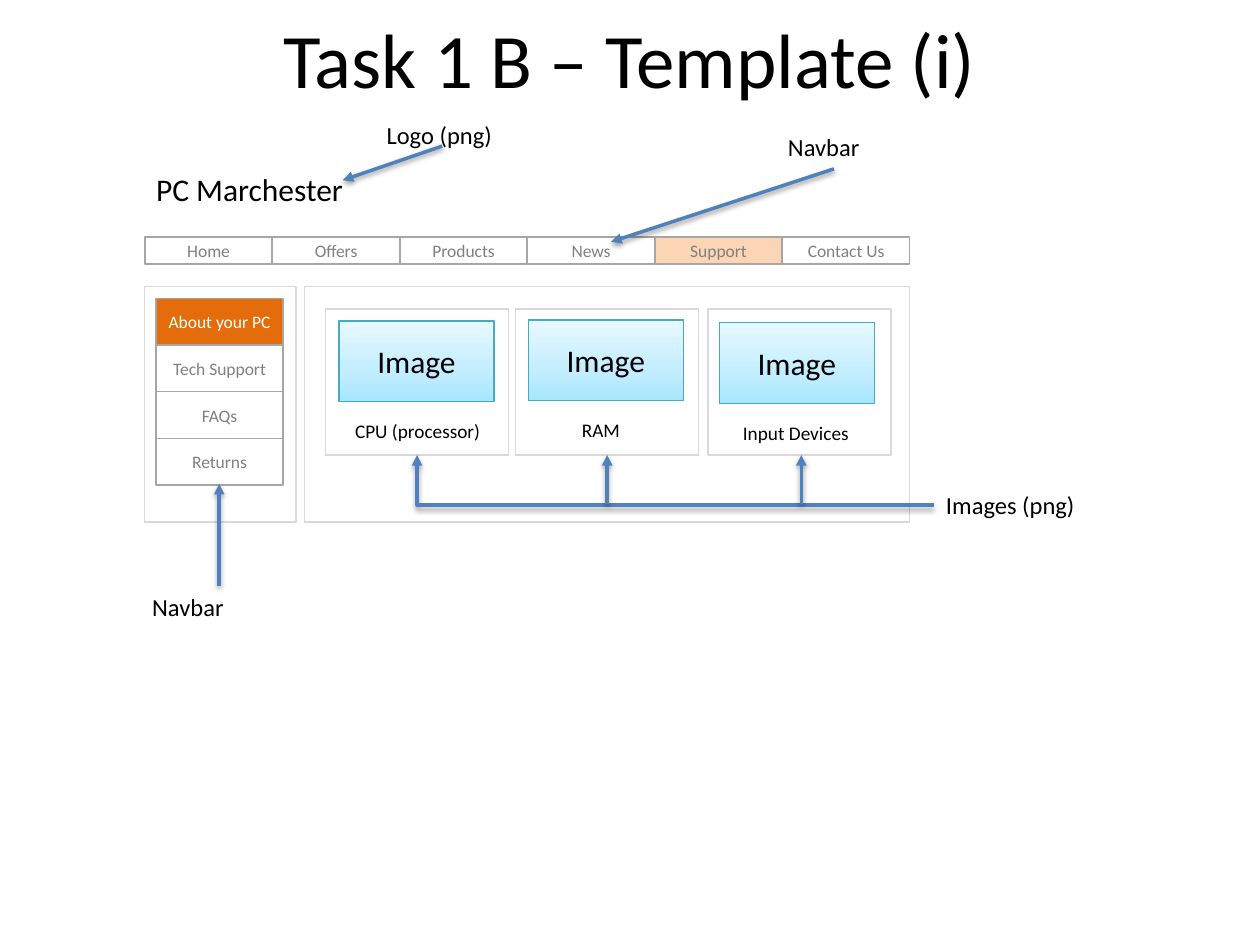
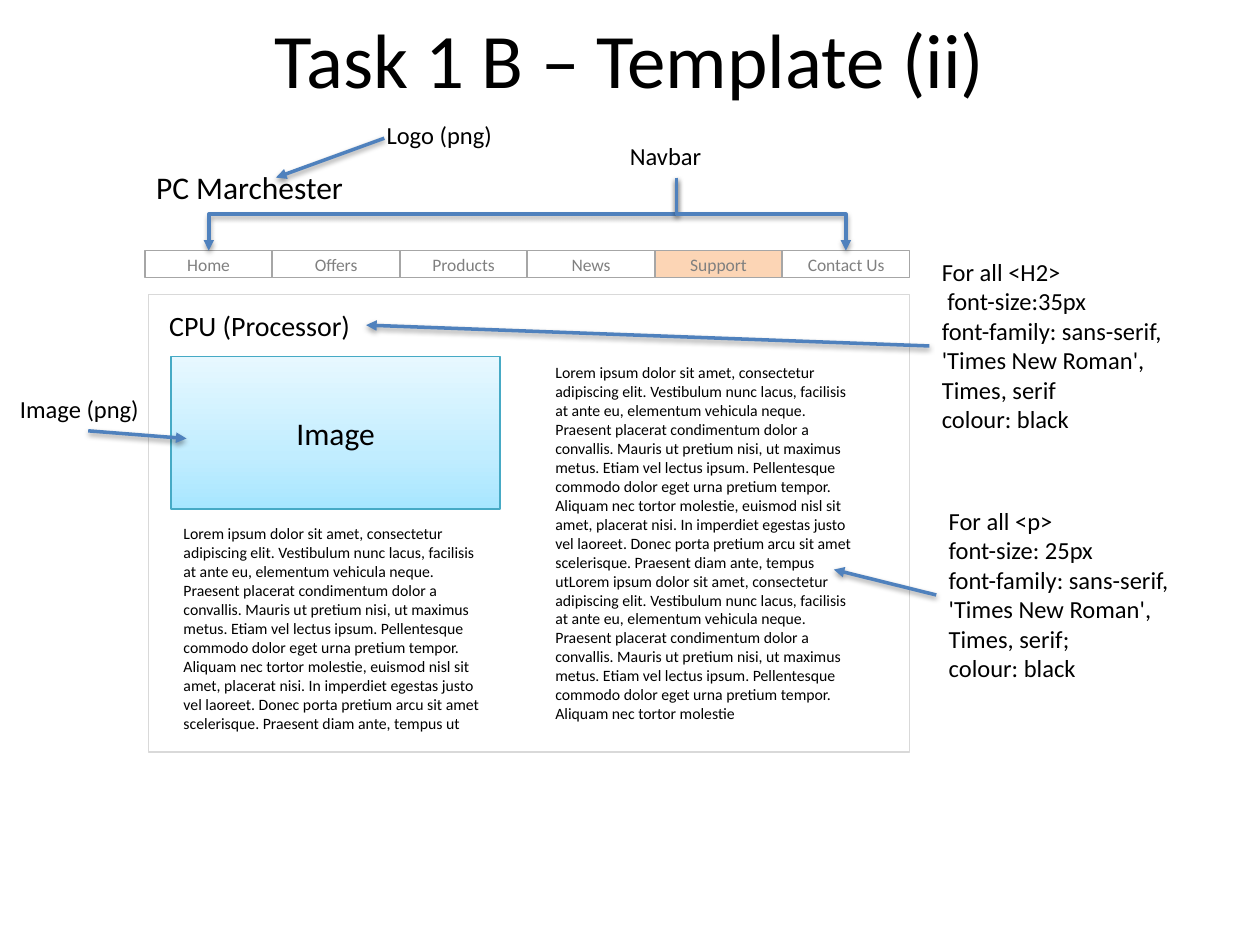
import copy

import pptx
import pptx.dml.color
import pptx.enum.shapes
import pptx.enum.text
import pptx.oxml
import pptx.oxml.ns
import pptx.util

Pt = pptx.util.Pt
RGBColor = pptx.dml.color.RGBColor
qn = pptx.oxml.ns.qn
Align = pptx.enum.text.PP_ALIGN
Anchor = pptx.enum.text.MSO_ANCHOR
ConnectorType = pptx.enum.shapes.MSO_CONNECTOR

# Shared style
FONT = "Calibri"
BLACK = RGBColor(0, 0, 0)
WHITE = RGBColor(255, 255, 255)
LABEL_GREY = RGBColor(0x80, 0x80, 0x80)
BUTTON_LINE = RGBColor(0xA6, 0xA6, 0xA6)
PANEL_LINE = RGBColor(0xD9, 0xD9, 0xD9)
PEACH = RGBColor(0xFC, 0xD5, 0xB5)
ORANGE = RGBColor(0xE4, 0x6C, 0x0A)
ARROW_BLUE = RGBColor(0x4F, 0x81, 0xBD)
IMAGE_LINE = RGBColor(0x46, 0xAA, 0xC5)
IMAGE_STOPS = [(0, RGBColor(0xA7, 0xE6, 0xFF)),
               (0.35, RGBColor(0xC1, 0xED, 0xFF)),
               (1, RGBColor(0xE7, 0xF8, 0xFF))]

# Shared content
SITE_NAME = "PC Marchester"
NAV_LABELS = ["Home", "Offers", "Products", "News", "Support", "Contact Us"]
MENU_LABELS = ["About your PC", "Tech Support", "FAQs", "Returns"]
BUTTON_WIDTH = 72.72

LOREM_START = (
    "Lorem ipsum dolor sit amet, consectetur adipiscing elit. Vestibulum nunc "
    "lacus, facilisis at ante eu, elementum vehicula neque. Praesent placerat "
    "condimentum dolor a convallis. Mauris ut pretium nisi, ut maximus metus. "
    "Etiam vel lectus ipsum. Pellentesque commodo dolor eget urna pretium "
    "tempor. Aliquam nec tortor molestie")
LOREM = LOREM_START + (
    ", euismod nisl sit amet, placerat nisi. In imperdiet egestas justo vel "
    "laoreet. Donec porta pretium arcu sit amet scelerisque. Praesent diam "
    "ante, tempus ut")


def add_run(paragraph, text, size, color):
    run = paragraph.add_run()
    run.text = text
    run.font.name = FONT
    run.font.size = Pt(size)
    run.font.color.rgb = color


def add_text(slide, box, lines, size, wrap=True, align=Align.LEFT, grow=True):
    shape = slide.shapes.add_textbox(*map(Pt, box))
    frame = shape.text_frame
    frame.word_wrap = wrap
    if grow:
        frame.auto_size = pptx.enum.text.MSO_AUTO_SIZE.SHAPE_TO_FIT_TEXT
    for index, line in enumerate(lines):
        paragraph = frame.add_paragraph() if index else frame.paragraphs[0]
        paragraph.alignment = align
        add_run(paragraph, line, size, BLACK)


def add_box(slide, box, line_color, fill=None, text="", size=10, color=LABEL_GREY):
    shape = slide.shapes.add_shape(
        pptx.enum.shapes.MSO_SHAPE.RECTANGLE, *map(Pt, box))
    shape.shadow.inherit = False
    shape.line.color.rgb = line_color
    shape.line.width = Pt(0.75)
    if fill is None:
        shape.fill.background()
    else:
        shape.fill.solid()
        shape.fill.fore_color.rgb = fill
    if text:
        frame = shape.text_frame
        frame.word_wrap = True
        frame.margin_left = frame.margin_right = 0
        frame.vertical_anchor = Anchor.MIDDLE
        frame.paragraphs[0].alignment = Align.CENTER
        add_run(frame.paragraphs[0], text, size, color)
    return shape


def add_image_box(slide, box):
    shape = add_box(slide, box, IMAGE_LINE, text="Image", size=18, color=BLACK)
    shape.fill.gradient()
    shape.fill.gradient_angle = 90
    stop_list = next(shape._element.spPr.iter(qn("a:gsLst")))
    stop_list.insert(1, copy.deepcopy(stop_list[0]))
    for stop, (position, color) in zip(shape.fill.gradient_stops, IMAGE_STOPS):
        stop.position = position
        stop.color.rgb = color


def add_arrow(slide, start, end, kind=ConnectorType.STRAIGHT):
    connector = slide.shapes.add_connector(kind, *map(Pt, start + end))
    connector.line.color.rgb = ARROW_BLUE
    connector.line.width = Pt(2)
    properties = connector._element.spPr
    namespace = pptx.oxml.ns.nsdecls("a")
    properties.find(qn("a:ln")).append(
        pptx.oxml.parse_xml(f'<a:tailEnd {namespace} type="triangle"/>'))
    properties.append(pptx.oxml.parse_xml(
        f'<a:effectLst {namespace}><a:outerShdw blurRad="{Pt(3.1)}" '
        f'dist="{Pt(1.6)}" dir="5400000" rotWithShape="0">'
        '<a:srgbClr val="000000"><a:alpha val="38000"/></a:srgbClr>'
        '</a:outerShdw></a:effectLst>'))
    return connector


def add_drop_elbow(slide, start, end):
    """Elbow that runs down, sideways, then down to its arrowhead."""
    width, height = end[1] - start[1], abs(end[0] - start[0])
    left = (start[0] + end[0] - width) / 2
    top = (start[1] + end[1] - height) / 2
    connector = add_arrow(slide, (left, top), (left + width, top + height),
                          ConnectorType.ELBOW)
    transform = connector._element.spPr.find(qn("a:xfrm"))
    if end[0] < start[0]:
        transform.set("rot", "5400000")
    else:
        transform.set("rot", "16200000")
        transform.set("flipH", "1")


def add_corner_elbow(slide, start, end):
    """Elbow that runs left, then up to its arrowhead."""
    connector = add_arrow(slide, end, start, ConnectorType.ELBOW)
    properties = connector._element.spPr
    properties.find(qn("a:xfrm")).set("rot", "10800000")
    properties.find(qn("a:prstGeom")).set("prst", "bentConnector2")


def add_page_frame(presentation, title, name_top, nav_top):
    """Slide with the title, site name, navigation bar and logo label."""
    slide = presentation.slides.add_slide(presentation.slide_layouts[6])
    add_text(slide, (82.1, name_top, 126.7, 28.8), [SITE_NAME], 18, wrap=False)
    for index, label in enumerate(NAV_LABELS):
        add_box(slide, (82.8 + index * 72.86, nav_top, BUTTON_WIDTH, 15.4),
                BUTTON_LINE, PEACH if label == "Support" else None, label)
    add_text(slide, (36, 2.9, 648, 90), [title], 44,
             align=Align.CENTER, grow=False)
    add_text(slide, (213.8, 64.8, 87.8, 24.5), ["Logo (png)"], 14)
    return slide


def build_overview(presentation):
    slide = add_page_frame(presentation, "Task 1 B – Template (i)", 93.6, 135.4)

    # Panels
    add_box(slide, (174.2, 163.7, 345.6, 134.6), PANEL_LINE)
    add_box(slide, (82.8, 163.7, 86.4, 134.6), PANEL_LINE)

    # Cards: card left, image left and top, caption box
    cards = [
        (186.2, 193.7, 183.5, "CPU (processor)", 195.8, 87.1),
        (294.5, 301.9, 182.9, "RAM", 325.4, 36.7),
        (404.6, 411, 184.4, "Input Devices", 417.4, 75.6)]
    for left, image_left, image_top, caption, caption_left, width in cards:
        add_box(slide, (left, 176.5, 104.6, 83.6), PANEL_LINE)
        add_image_box(slide, (image_left, image_top, 88.6, 46.1))
        add_text(slide, (caption_left, image_top + 52.6, width, 20.6),
                 [caption], 11, wrap=False)

    # Side menu
    for index, label in enumerate(MENU_LABELS):
        active = index == 0
        add_box(slide, (89.1, 170.6 + index * 26.64, BUTTON_WIDTH, 26.64),
                BUTTON_LINE, ORANGE if active else None, label,
                color=WHITE if active else LABEL_GREY)

    # Notes and arrows
    add_arrow(slide, (252.7, 83.5), (195.8, 103))
    add_text(slide, (443.2, 72, 67, 24.5), ["Navbar"], 14)
    add_arrow(slide, (476.6, 96.5), (349.2, 138.2))
    add_text(slide, (533.5, 276.5, 117.4, 24.5), ["Images (png)"], 14)
    add_corner_elbow(slide, (533.5, 288.7), (238.3, 260))
    for x in (347, 457.9):
        add_arrow(slide, (x, 288), (x, 260))
    add_text(slide, (79.9, 334.8, 90.7, 24.5), ["Navbar"], 14)
    add_arrow(slide, (125.3, 334.8), (125.3, 276.5))


def build_article(presentation):
    slide = add_page_frame(presentation, "Task 1 B – Template (ii)", 92.2, 143.2)

    # Article
    add_box(slide, (84.7, 168.3, 434.9, 261.4), PANEL_LINE)
    add_text(slide, (89.6, 172.8, 119.5, 26.6), ["CPU (Processor)"], 16, wrap=False)
    add_image_box(slide, (97.8, 203.8, 188, 87.1))
    add_text(slide, (97.8, 295.9, 188, 127.4), [LOREM], 9)
    add_text(slide, (310.3, 203.8, 188, 214.6), [LOREM + LOREM_START], 9)

    # Notes
    add_text(slide, (352.8, 77, 67, 24.5), ["Navbar"], 14)
    add_text(slide, (4.3, 221.8, 91.4, 24.5), ["Image (png)"], 14)
    add_text(slide, (531.1, 143.3, 152.6, 108.7),
             ["For all <H2>", " font-size:35px",
              "font-family: sans-serif, 'Times New Roman', Times, serif",
              "colour: black"], 14)
    add_text(slide, (535, 285.5, 152.6, 108.7),
             ["For all <p>", "font-size: 25px",
              "font-family: sans-serif, 'Times New Roman', Times, serif;",
              "colour: black"], 14)

    # Arrows
    add_arrow(slide, (50.4, 246.2), (106.6, 250.6))
    add_arrow(slide, (531.1, 197.7), (209.2, 185.8))
    add_arrow(slide, (219.6, 79), (157.7, 101.5))
    for x in (119.3, 483.3):
        add_drop_elbow(slide, (386.5, 101.5), (x, 143.2))
    add_arrow(slide, (535, 340), (476.5, 325.5))


def main():
    presentation = pptx.Presentation()
    presentation.slide_width = Pt(720)
    presentation.slide_height = Pt(540)
    build_overview(presentation)
    build_article(presentation)
    presentation.save("out.pptx")


main()
